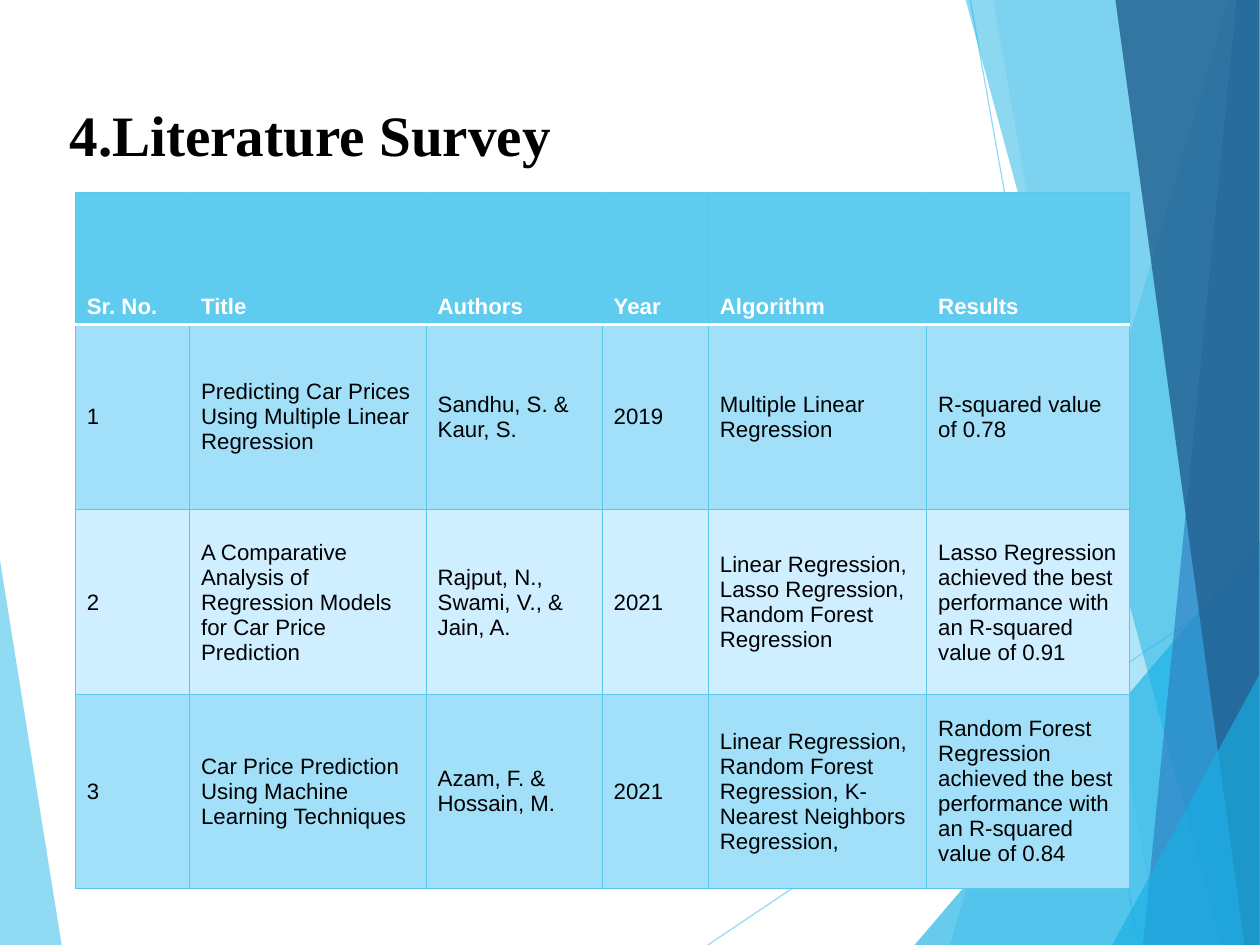
from lxml import etree
from pptx import Presentation
from pptx.dml import color
from pptx.enum import shapes, text
from pptx.oxml import ns
from pptx.util import Emu, Inches, Pt

W, H = 11.02, 8.27
SKY, AZURE, EDGE = "5FCBEF", "17B0E4", "59C8ED"
BANDS = ["A2E0FA", "CFEEFF"]

FACETS = [
    ([(10.75, 0), (8.31, H), (W, H), (W, 0)], SKY, 36),
    ([(8.69, 0), (10.14, H), (W, H), (W, 0)], SKY, 20),
    ([(8, H), (W, 4.73), (W, H)], AZURE, 65),
    ([(8.45, 0), (10.69, H), (W, H), (W, 0)], AZURE, 49),
    ([(10.82, 0), (10, H), (W, H), (W, 0)], "2E83C3", 69),
    ([(9.76, 0), (10.89, H), (W, H), (W, 0)], "236292", 82),
    ([(9.73, H), (W, 5.9), (W, H)], AZURE, 65),
]
COLS = [1, 2.07, 1.54, 0.93, 1.91, 1.77]
ROWS = [1.16, 1.62, 1.62, 1.69]
DATA = [
    ["Sr. No.", "Title", "Authors", "Year", "Algorithm", "Results"],
    ["1", "Predicting Car Prices Using Multiple Linear Regression",
     "Sandhu, S. & Kaur, S.", "2019", "Multiple Linear Regression",
     "R-squared value of 0.78"],
    ["2", "A Comparative Analysis of Regression Models for Car Price Prediction",
     "Rajput, N., Swami, V., & Jain, A.", "2021",
     "Linear Regression, Lasso Regression, Random Forest Regression",
     "Lasso Regression achieved the best performance with an R-squared value of 0.91"],
    ["3", "Car Price Prediction Using Machine Learning Techniques",
     "Azam, F. & Hossain, M.", "2021",
     "Linear Regression, Random Forest Regression, K-Nearest Neighbors Regression,",
     "Random Forest Regression achieved the best performance with an R-squared value of 0.84"],
]


def paint(fmt, tone, alpha=100):
    fmt.solid()
    fmt.fore_color.rgb = color.RGBColor.from_string(tone)
    if alpha < 100:
        node = fmt._xPr.find(".//" + ns.qn("a:srgbClr"))
        etree.SubElement(node, ns.qn("a:alpha"), val=str(alpha * 1000))


def style(para, face, size, tone, bold):
    font = para.font
    font.name, font.size, font.bold = face, Pt(size), bold
    paint(font.fill, tone)


def facet(slide, points, tone, alpha):
    spots = [(Inches(x), Inches(y)) for x, y in points]
    pen = slide.shapes.build_freeform(*spots[0])
    pen.add_line_segments(spots[1:], close=True)
    shape = pen.convert_to_shape()
    shape.shadow.inherit = False
    paint(shape.fill, tone, alpha)
    shape.line.fill.background()


def ray(slide, x1, y1, x2, y2):
    line = slide.shapes.add_connector(
        shapes.MSO_CONNECTOR.STRAIGHT, *map(Inches, (x1, y1, x2, y2)))
    line.line.width = Pt(0.75)
    paint(line.line.fill, SKY, 69)
    etree.SubElement(line._element.spPr, ns.qn("a:effectLst"))


def title(slide, words):
    box = slide.shapes.add_textbox(*map(Inches, (0.51, 0.82, 7.65, 0.68)))
    frame = box.text_frame
    frame.word_wrap = True
    frame.text = words
    style(frame.paragraphs[0], "Times New Roman", 36, "000000", True)


def border(cell, sides):
    props = cell._tc.get_or_add_tcPr()
    for spot, (side, (tone, width)) in enumerate(sides.items()):
        line = etree.Element(ns.qn("a:ln" + side), w=str(Pt(width)))
        fill = etree.SubElement(line, ns.qn("a:solidFill"))
        etree.SubElement(fill, ns.qn("a:srgbClr"), val=tone)
        props.insert(spot, line)


def survey(slide):
    spot = map(Inches, (0.66, 1.68, sum(COLS), sum(ROWS)))
    table = slide.shapes.add_table(len(ROWS), len(COLS), *spot).table
    for col, width in zip(table.columns, COLS):
        col.width = Inches(width)
    thin, rule = (EDGE, 0.75), ("FFFFFF", 2)
    for r, (height, words) in enumerate(zip(ROWS, DATA)):
        table.rows[r].height = Inches(height)
        head = r == 0
        for c, word in enumerate(words):
            cell = table.cell(r, c)
            cell.text = word
            cell.vertical_anchor = (text.MSO_ANCHOR.BOTTOM if head
                                    else text.MSO_ANCHOR.MIDDLE)
            style(cell.text_frame.paragraphs[0], "Arial", 14,
                  "FFFFFF" if head else "000000", head)
            paint(cell.fill, SKY if head else BANDS[(r - 1) % 2])
            border(cell, {"L": thin, "R": thin,
                          "T": rule if r == 1 else thin,
                          "B": rule if head else thin})


def main():
    deck = Presentation()
    deck.slide_width, deck.slide_height = Emu(10080625), Emu(7559675)
    slide = deck.slides.add_slide(deck.slide_layouts[6])
    facet(slide, [(0, 4.9), (0.54, H), (0, H)], SKY, 69)
    ray(slide, 6.19, H, W, 5.03)
    ray(slide, 8.49, 0, 9.96, H)
    for points, tone, alpha in FACETS:
        facet(slide, points, tone, alpha)
    title(slide, "4.Literature Survey")
    survey(slide)
    deck.save("out.pptx")


if __name__ == "__main__":
    main()
